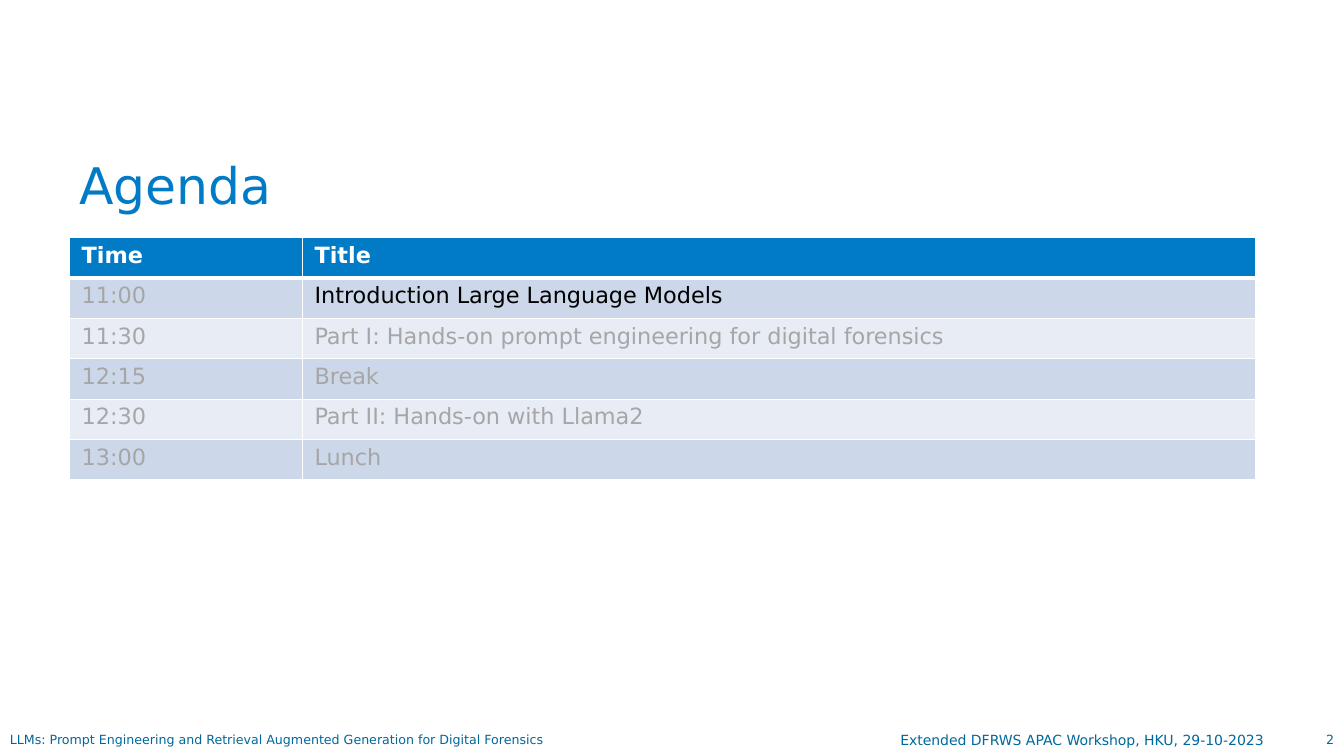
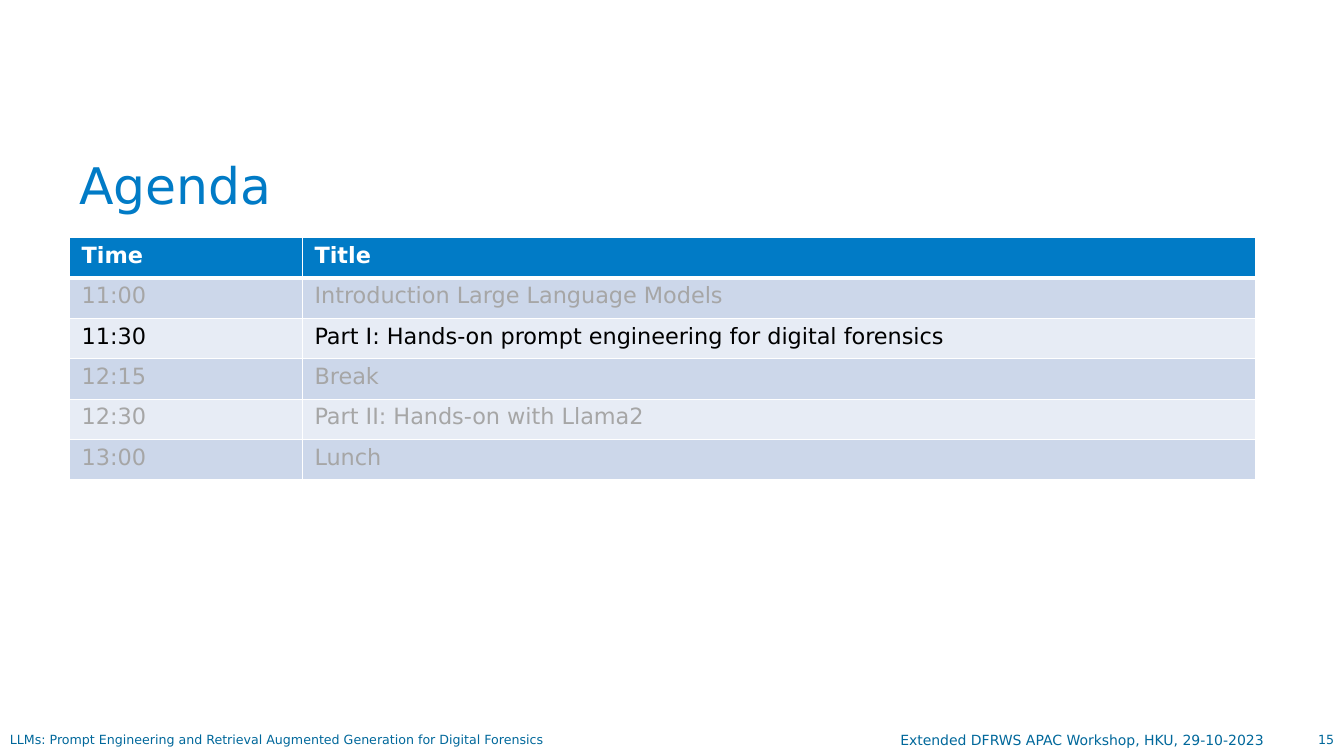
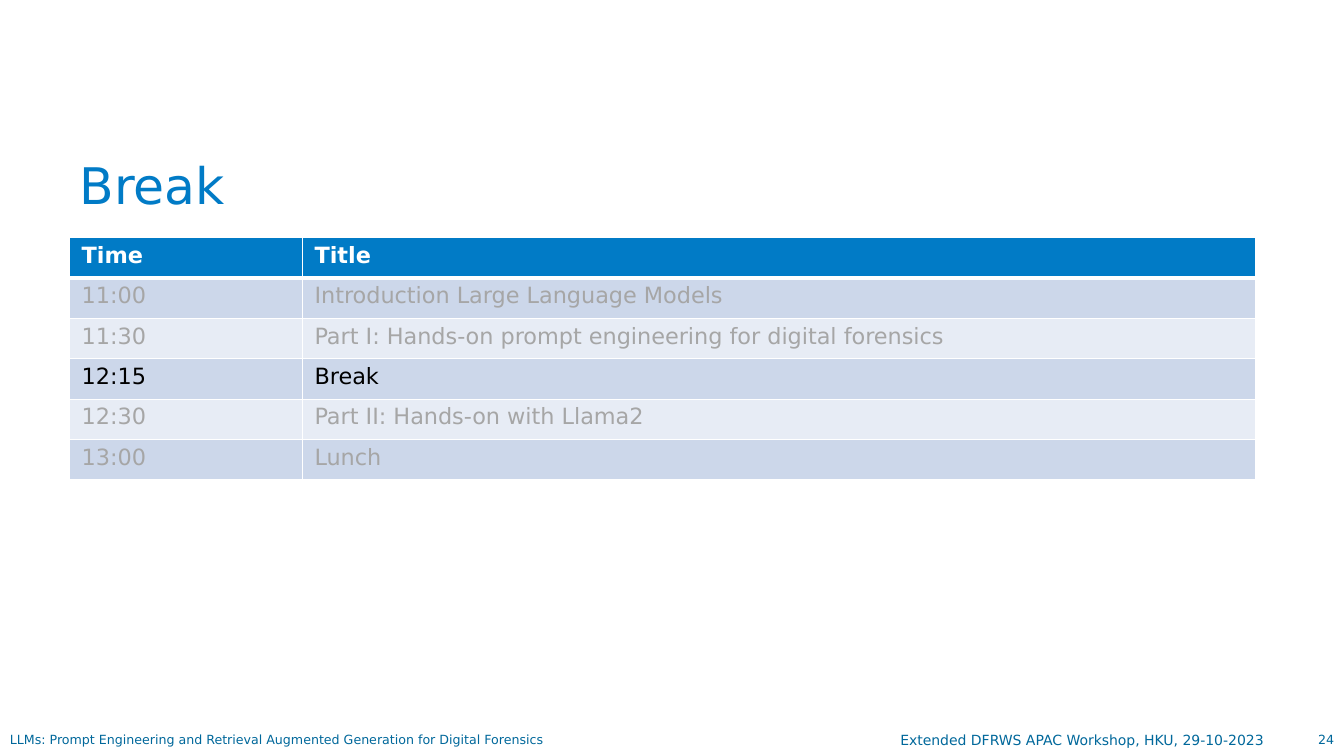
"""Build the agenda slides of the digital forensics workshop."""
from dataclasses import dataclass

from lxml import etree
from pptx import Presentation
from pptx import util as u
from pptx.dml.color import RGBColor
from pptx.enum import text
from pptx.oxml import ns

PX = 9144


@dataclass(frozen=True)
class Theme:
    """Colours, font and type sizes of the deck."""
    font: str = "DejaVu Sans"
    accent: str = "017BC6"
    footer: str = "01689B"
    muted: str = "A6A6A6"
    active: str = "000000"
    white: str = "FFFFFF"
    bands: tuple = ("CCD7EA", "E7ECF5")
    title_size: int = 36
    table_size: int = 16
    venue_size: int = 10
    footer_size: int = 9
    grid_line: int = 1
    header_line: int = 3


def write(frame, words, *, theme, size, color, bold=False, align=None, spacing=None):
    """Write one formatted paragraph into a text frame."""
    paragraph = frame.paragraphs[0]
    paragraph.alignment = align
    paragraph.line_spacing = spacing
    run = paragraph.add_run()
    run.text = words
    run.font.name = theme.font
    run.font.size = u.Pt(size)
    run.font.bold = bold
    run.font.color.rgb = RGBColor.from_string(color)


def draw_borders(cell, color, **widths):
    """Give a cell solid borders, with widths in points by side."""
    properties = cell._tc.get_or_add_tcPr()
    for side in "LRTB":
        line = etree.SubElement(properties, ns.qn(f"a:ln{side}"), w=str(u.Pt(widths[side])))
        fill = etree.SubElement(line, ns.qn("a:solidFill"))
        etree.SubElement(fill, ns.qn("a:srgbClr"), val=color)


class Deck:
    """Hold the theme and the current slide, and draw elements on it."""

    def __init__(self, theme, width, height):
        """Start an empty presentation of the given size."""
        self.theme = theme
        self.presentation = Presentation()
        self.presentation.slide_width = width * PX
        self.presentation.slide_height = height * PX
        self.slide = None

    def start_slide(self, title, number):
        """Add a slide with its title and footers."""
        theme = self.theme
        self.slide = self.presentation.slides.add_slide(self.presentation.slide_layouts[6])
        self.label(title, 69, 115, 1195, 104, size=theme.title_size, color=theme.accent,
                   anchor=text.MSO_ANCHOR.BOTTOM, spacing=0.9)
        right = text.PP_ALIGN.RIGHT
        for words, left, width, size, align in (
                (TALK, 0, 711, theme.footer_size, None),
                (str(number), 1264, 69, theme.footer_size, right),
                (VENUE, 781, 482, theme.venue_size, right)):
            self.label(words, left, 721, width, 29, size=size, color=theme.footer, align=align)

    def label(self, words, left, top, width, height, anchor=text.MSO_ANCHOR.TOP, **style):
        """Add a wrapped text box."""
        box = self.slide.shapes.add_textbox(left * PX, top * PX, width * PX, height * PX)
        box.text_frame.word_wrap = True
        box.text_frame.vertical_anchor = anchor
        write(box.text_frame, words, theme=self.theme, **style)

    def agenda(self, rows, highlighted, left=69, top=236, columns=(231, 945), row_height=40):
        """Add the agenda table with the highlighted cells in the active colour."""
        theme = self.theme
        table = self.slide.shapes.add_table(
            len(rows), len(columns), left * PX, top * PX,
            sum(columns) * PX, len(rows) * row_height * PX).table
        for column, width in zip(table.columns, columns):
            column.width = width * PX
        for row, entries in enumerate(rows):
            header = row == 0
            for column, words in enumerate(entries):
                cell = table.cell(row, column)
                cell.margin_left = cell.margin_right = 12 * PX
                cell.margin_top = cell.margin_bottom = 5 * PX
                draw_borders(cell, theme.white, L=theme.grid_line, R=theme.grid_line,
                             T=theme.header_line if row == 1 else theme.grid_line,
                             B=theme.header_line if header else theme.grid_line)
                cell.fill.solid()
                cell.fill.fore_color.rgb = RGBColor.from_string(
                    theme.accent if header else theme.bands[(row - 1) % 2])
                body = theme.active if (row, column) in highlighted else theme.muted
                write(cell.text_frame, words, theme=theme, size=theme.table_size,
                      color=theme.white if header else body, bold=header)


TALK = "LLMs: Prompt Engineering and Retrieval Augmented Generation for Digital Forensics"
VENUE = "Extended DFRWS APAC Workshop, HKU, 29-10-2023"
SCHEDULE = (
    ("Time", "Title"),
    ("11:00", "Introduction Large Language Models"),
    ("11:30", "Part I: Hands-on prompt engineering for digital forensics"),
    ("12:15", "Break"),
    ("12:30", "Part II: Hands-on with Llama2"),
    ("13:00", "Lunch"),
)
SLIDES = (
    ("Agenda", 2, {(1, 1)}),
    ("Agenda", 15, {(2, 0), (2, 1)}),
    ("Break", 24, {(3, 0), (3, 1)}),
)


def main():
    """Build and save the deck."""
    deck = Deck(Theme(), 1333, 750)
    for title, number, highlighted in SLIDES:
        deck.start_slide(title, number)
        deck.agenda(SCHEDULE, highlighted)
    deck.presentation.save("out.pptx")


if __name__ == "__main__":
    main()
